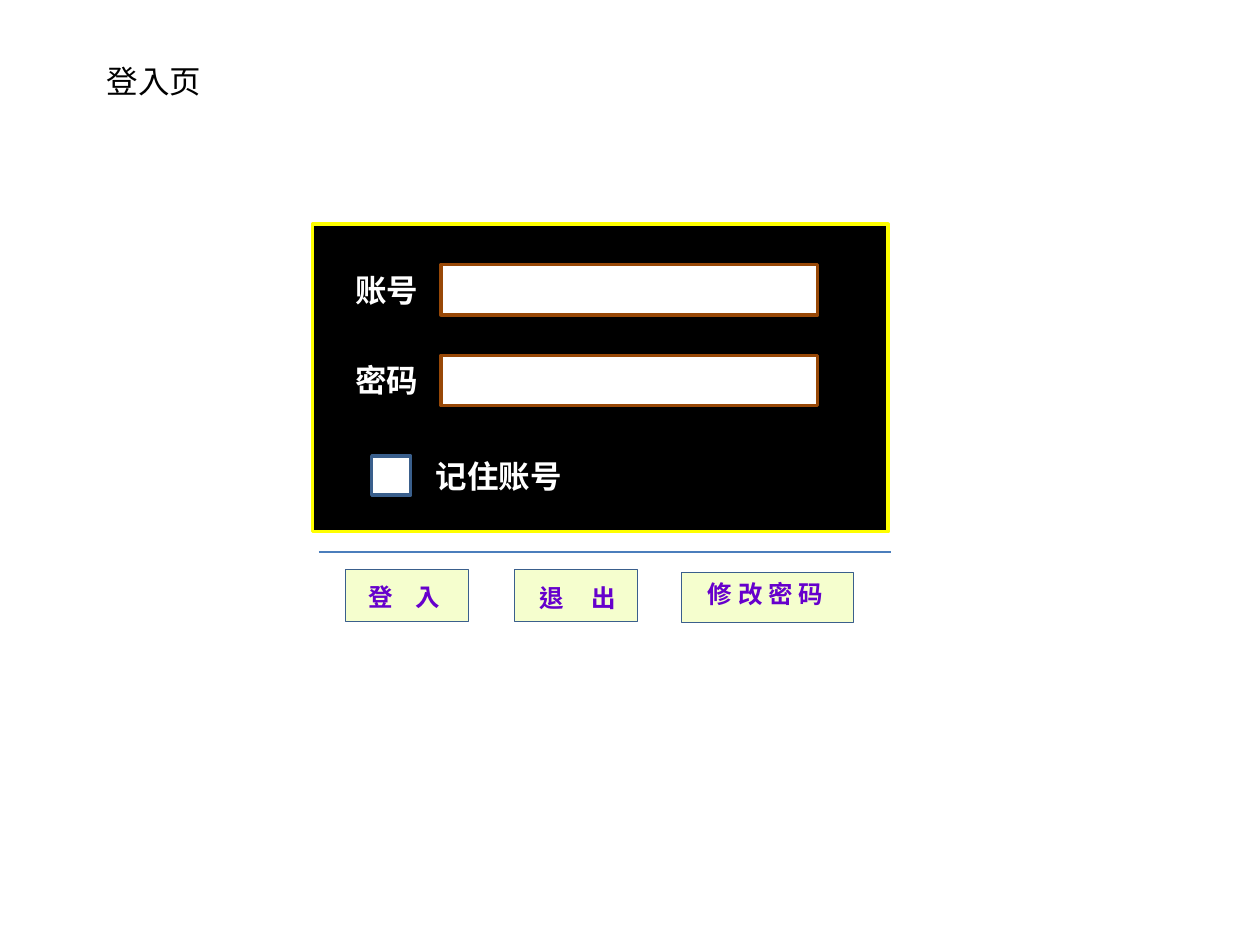
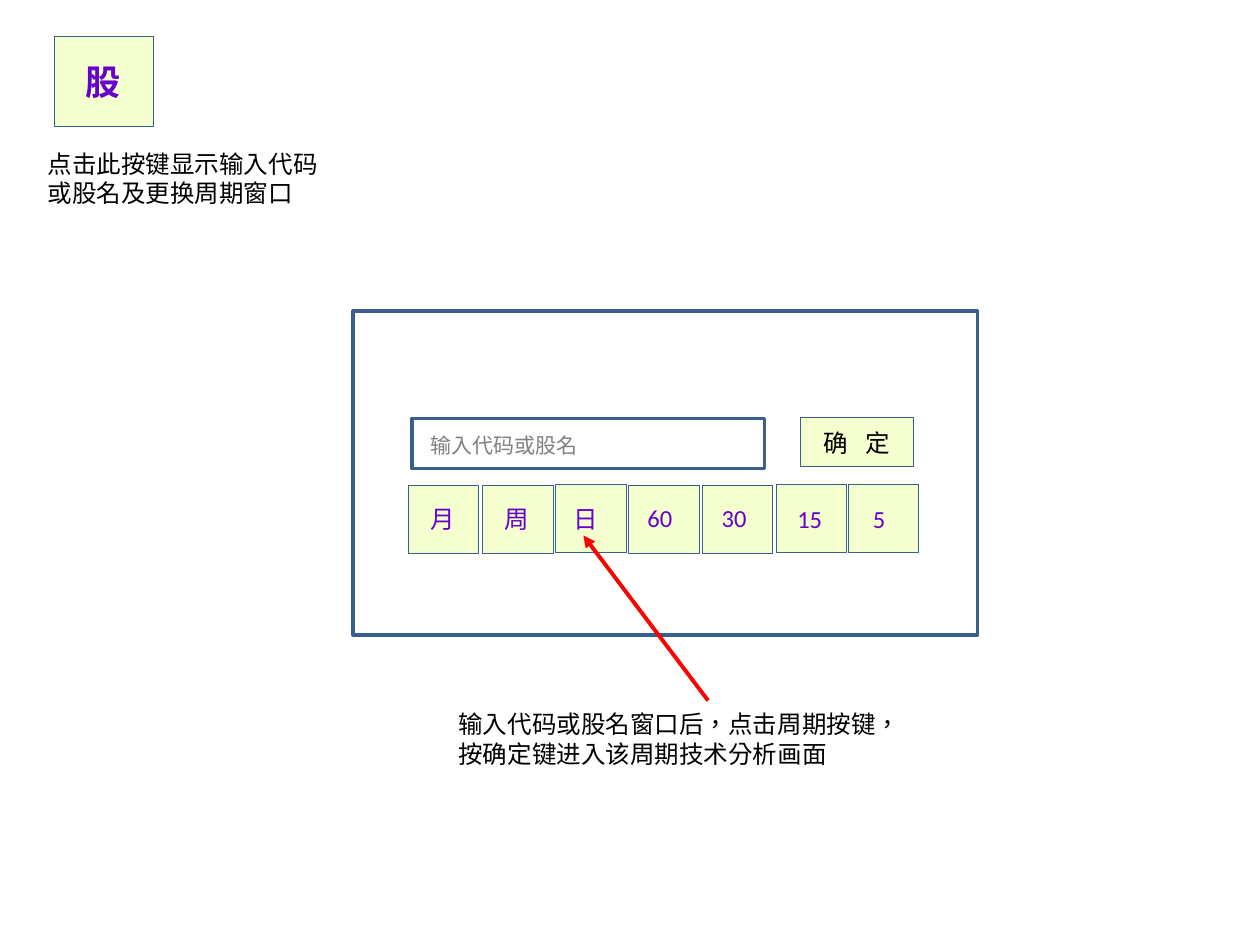
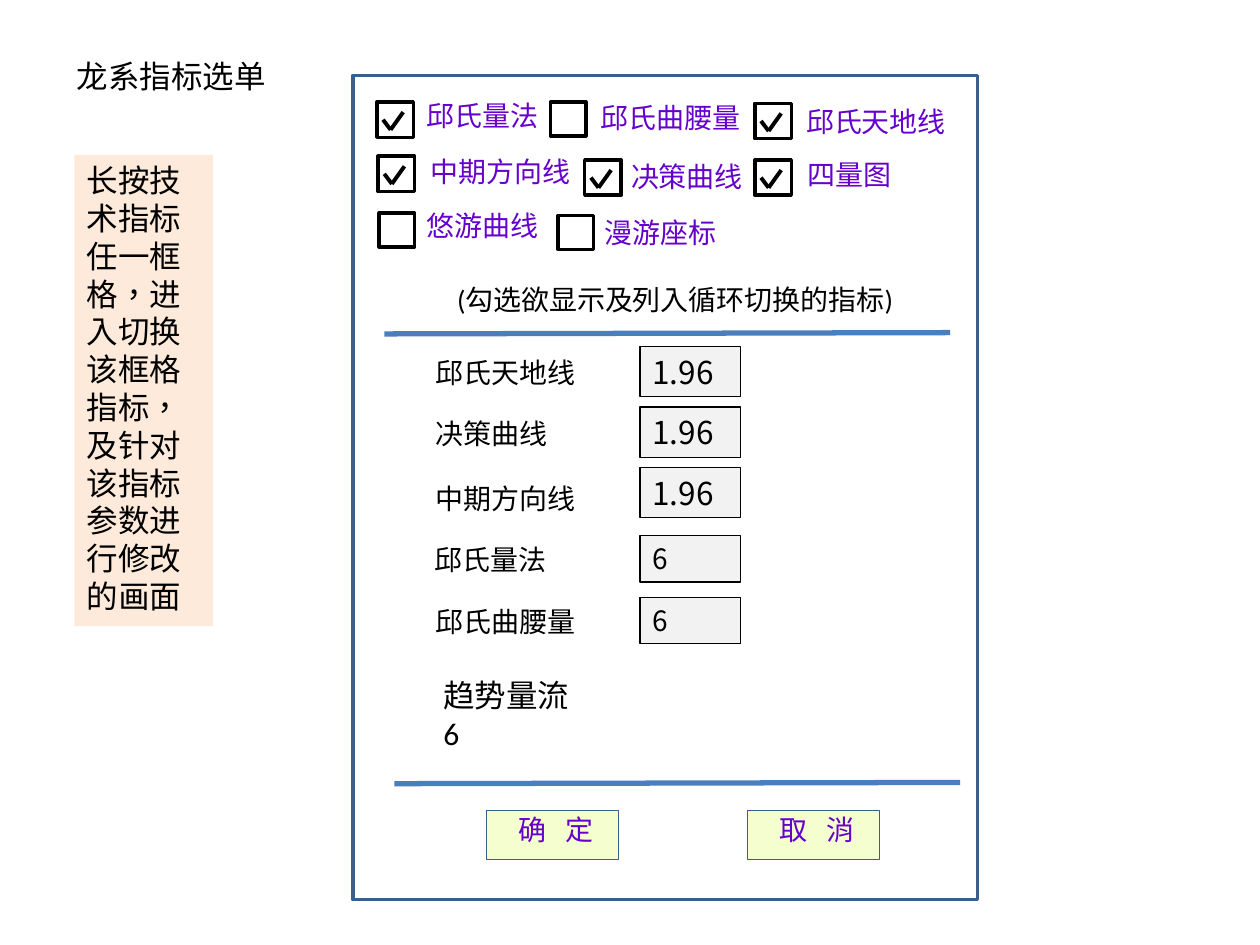
"""Build three screen mock-ups: login, stock entry and indicator menu."""
from dataclasses import dataclass
from typing import Any, Optional

import pptx
import pptx.dml.color
import pptx.enum.lang
import pptx.enum.shapes
import pptx.enum.text
import pptx.oxml.ns
import pptx.util
from lxml import etree

SCALE = 9144
FONT = "Calibri"
NOTO = "Noto Sans CJK KR"
COLORS = {
    "white": "FFFFFF", "black": "000000", "yellow": "FFFF00", "brown": "984807",
    "steel": "3A5F8C", "blue": "4B7EBC", "lime": "F5FECE", "purple": "6600CC",
    "gray": "808080", "pale": "F2F2F2", "peach": "FDEADA", "red": "FF0000",
}


@dataclass(frozen=True)
class Box:
    left: int
    top: int
    width: int
    height: int
    fill: Optional[str] = None
    line: Optional[str] = "steel"
    weight: float = 2


@dataclass(frozen=True)
class Label:
    text: str
    left: int
    top: int
    width: int
    height: int = 37
    size: int = 16
    color: str = "black"
    bold: bool = False
    tracking: float = 0
    font: str = FONT


@dataclass(frozen=True)
class Stroke:
    x1: int
    y1: int
    x2: int
    y2: int
    color: str
    weight: float
    arrow: bool = False


@dataclass(frozen=True)
class Option:
    text: str
    label_left: int
    label_top: int
    width: int
    box_left: int
    box_top: int
    checked: bool


@dataclass(frozen=True)
class Period:
    text: str
    left: int
    top: int
    label_left: int
    label_top: int


@dataclass(frozen=True)
class Setting:
    text: str
    label_left: int
    label_top: int
    label_width: int
    value: str
    value_top: int
    value_height: int
    value_size: int


def px(length: int) -> int:
    """Turn px into EMU."""
    return pptx.util.Emu(length * SCALE)


def rgb(name: str) -> pptx.dml.color.RGBColor:
    """Look up a colour by name."""
    return pptx.dml.color.RGBColor.from_string(COLORS[name])


def write(shape: Any, label: Label) -> None:
    """Write left-aligned text from the top of a shape."""
    frame = shape.text_frame
    frame.word_wrap = True
    frame.vertical_anchor = pptx.enum.text.MSO_ANCHOR.TOP
    frame.text = label.text
    for para in frame.paragraphs:
        para.alignment = pptx.enum.text.PP_ALIGN.LEFT
        font = para.font
        font.name = label.font
        font.size = pptx.util.Pt(label.size)
        font.bold = label.bold
        font.color.rgb = rgb(label.color)
        font.language_id = pptx.enum.lang.MSO_LANGUAGE_ID.TRADITIONAL_CHINESE
        for span in para.runs:
            span.font.language_id = font.language_id
            if label.tracking:
                span.font._element.set("spc", str(round(label.tracking * 100)))


def draw_box(shapes: Any, box: Box) -> Any:
    """Draw a rectangle."""
    shape = shapes.add_shape(
        pptx.enum.shapes.MSO_SHAPE.RECTANGLE,
        px(box.left), px(box.top), px(box.width), px(box.height))
    shape.shadow.inherit = False
    if box.fill:
        shape.fill.solid()
        shape.fill.fore_color.rgb = rgb(box.fill)
    else:
        shape.fill.background()
    if box.line:
        shape.line.color.rgb = rgb(box.line)
        shape.line.width = pptx.util.Pt(box.weight)
    else:
        shape.line.fill.background()
    return shape


def draw_label(shapes: Any, label: Label) -> None:
    """Draw a text box."""
    write(shapes.add_textbox(px(label.left), px(label.top),
                             px(label.width), px(label.height)), label)


def draw_stroke(shapes: Any, stroke: Stroke) -> None:
    """Draw a straight line, with an arrowhead if wanted."""
    line = shapes.add_connector(
        pptx.enum.shapes.MSO_CONNECTOR.STRAIGHT,
        px(stroke.x1), px(stroke.y1), px(stroke.x2), px(stroke.y2))
    line.line.color.rgb = rgb(stroke.color)
    line.line.width = pptx.util.Pt(stroke.weight)
    if stroke.arrow:
        tail = etree.SubElement(line.line._get_or_add_ln(), pptx.oxml.ns.qn("a:tailEnd"))
        tail.set("type", "triangle")
    etree.SubElement(line._element.spPr, pptx.oxml.ns.qn("a:effectLst"))


def draw_button(shapes: Any, left: int, top: int, width: int, height: int,
                label: Label) -> None:
    """Draw a lime button and its caption."""
    draw_box(shapes, Box(left, top, width, height, "lime", "steel", 0.25))
    draw_label(shapes, label)


def draw_option(shapes: Any, option: Option) -> None:
    """Draw a check box, its tick and its caption."""
    left, top = option.box_left, option.box_top
    if option.checked:
        group = shapes.add_group_shape().shapes
        draw_box(group, Box(left, top, 29, 28, line="black"))
        for dx, dy in ((5, 14), (21, 8)):
            draw_stroke(group, Stroke(left + dx, top + dy, left + 11, top + 22, "black", 2.25))
    else:
        draw_box(shapes, Box(left, top, 28, 27, line="black"))
    draw_label(shapes, Label(option.text, option.label_left, option.label_top,
                             option.width, color="purple"))


def build_login(shapes: Any) -> None:
    """Build the login screen."""
    draw_label(shapes, Label("登入页", 75, 44, 102, 40, 18))
    draw_box(shapes, Box(248, 178, 457, 244, "black", "yellow"))
    for text, top in (("账号", 210), ("密码", 282)):
        draw_label(shapes, Label(text, 272, top, 79, 40, 18, "white", True))
        draw_box(shapes, Box(350, top, 299, 40, "white", "brown"))
    draw_box(shapes, Box(295, 362, 31, 31, "white"))
    draw_label(shapes, Label("记住账号", 336, 358, 142, 40, 18, "white", True))
    draw_stroke(shapes, Stroke(253, 438, 707, 438, "blue", 0.75))
    draw_button(shapes, 274, 452, 98, 41,
                Label("登 入", 283, 457, 92, 34, 14, "purple", True, 4.8))
    draw_button(shapes, 408, 452, 98, 41,
                Label("退 出", 418, 458, 95, 34, 14, "purple", True, 6.4))
    draw_button(shapes, 541, 454, 136, 40,
                Label("修 改 密 码", 552, 455, 122, 34, 14, "purple", True))


def build_entry(shapes: Any) -> None:
    """Build the stock and period entry screen."""
    periods = (
        Period("月", 324, 385, 332, 395), Period("周", 383, 385, 391, 395),
        Period("日", 441, 384, 445, 395), Period("60", 499, 385, 504, 394),
        Period("30", 557, 385, 563, 394), Period("15", 616, 384, 623, 395),
        Period("5", 673, 384, 683, 395),
    )
    draw_button(shapes, 43, 29, 79, 71, Label("股", 58, 43, 50, 35, 20, "purple", True))
    draw_label(shapes, Label("点击此按键显示输入代码或股名及更换周期窗口", 28, 113, 236, 57, 14))
    draw_box(shapes, Box(280, 247, 496, 257))
    draw_box(shapes, Box(327, 332, 280, 40))
    draw_label(shapes, Label("输入代码或股名", 332, 338, 142, 30, 12, "gray"))
    draw_button(shapes, 635, 331, 90, 39, Label("确 定", 644, 335, 87, 34, 14, tracking=3.2))
    for period in periods:
        draw_button(shapes, period.left, period.top, 56, 54,
                    Label(period.text, period.label_left, period.label_top, 44, 34, 14, "purple"))
    draw_stroke(shapes, Stroke(562, 556, 463, 425, "red", 2.25, True))
    draw_label(shapes, Label("输入代码或股名窗口后，点击周期按键，按确定键进入该周期技术分析画面",
                             354, 558, 355, 57, 14))


def build_menu(shapes: Any) -> None:
    """Build the indicator menu screen."""
    options = (
        Option("邱氏量法", 329, 73, 122, 299, 81, True),
        Option("邱氏曲腰量", 467, 75, 151, 437, 81, False),
        Option("邱氏天地线", 630, 78, 151, 599, 82, True),
        Option("中期方向线", 332, 118, 141, 300, 124, True),
        Option("决策曲线", 491, 122, 118, 464, 127, True),
        Option("四量图", 631, 120, 93, 599, 127, True),
        Option("悠游曲线", 329, 161, 118, 301, 169, False),
        Option("漫游座标", 470, 166, 118, 443, 171, False),
    )
    settings = (
        Setting("邱氏天地线", 336, 277, 143, "1.96", 275, 40, 18),
        Setting("决策曲线", 336, 326, 112, "1.96", 323, 40, 18),
        Setting("中期方向线", 336, 377, 185, "1.96", 371, 40, 18),
        Setting("邱氏量法", 335, 426, 114, "6", 425, 37, 16),
        Setting("邱氏曲腰量", 336, 475, 134, "6", 474, 37, 16),
    )
    draw_label(shapes, Label("龙系指标选单", 51, 40, 181, 40, 18))
    note = Label("长按技术指标任一框格，进入切换该框格指标，及针对该指标参数进行修改的画面",
                 59, 123, 110, 374, 18)
    write(draw_box(shapes, Box(note.left, note.top, note.width, note.height, "peach", None)), note)
    draw_box(shapes, Box(280, 60, 496, 654))
    for option in options:
        draw_option(shapes, option)
    draw_label(shapes, Label("(勾选欲显示及列入循环切换的指标)", 353, 219, 380))
    for left, top in ((305, 265), (313, 622)):
        draw_stroke(shapes, Stroke(left, top, left + 449, top - 1, "blue", 3))
    for row in settings:
        draw_label(shapes, Label(row.text, row.label_left, row.label_top, row.label_width))
        field = draw_box(shapes, Box(508, row.value_top, 80, row.value_height,
                                     "pale", "black", 0.75))
        write(field, Label(row.value, 508, row.value_top, 80, row.value_height,
                           row.value_size, font=NOTO))
    draw_label(shapes, Label("趋势量流\n6", 342, 532, 192, 40, 18))
    for text, left in (("确 定", 386), ("取 消", 593)):
        draw_button(shapes, left, 643, 105, 39,
                    Label(text, left + 16, 640, 93, color="purple", tracking=3.6))


def main() -> None:
    """Build and save the deck."""
    deck = pptx.Presentation()
    deck.slide_width, deck.slide_height = px(1000), px(750)
    for build in (build_login, build_entry, build_menu):
        page = deck.slides.add_slide(deck.slide_layouts[6])
        page.background.fill.solid()
        page.background.fill.fore_color.rgb = rgb("white")
        build(page.shapes)
    deck.save("out.pptx")


if __name__ == "__main__":
    main()
